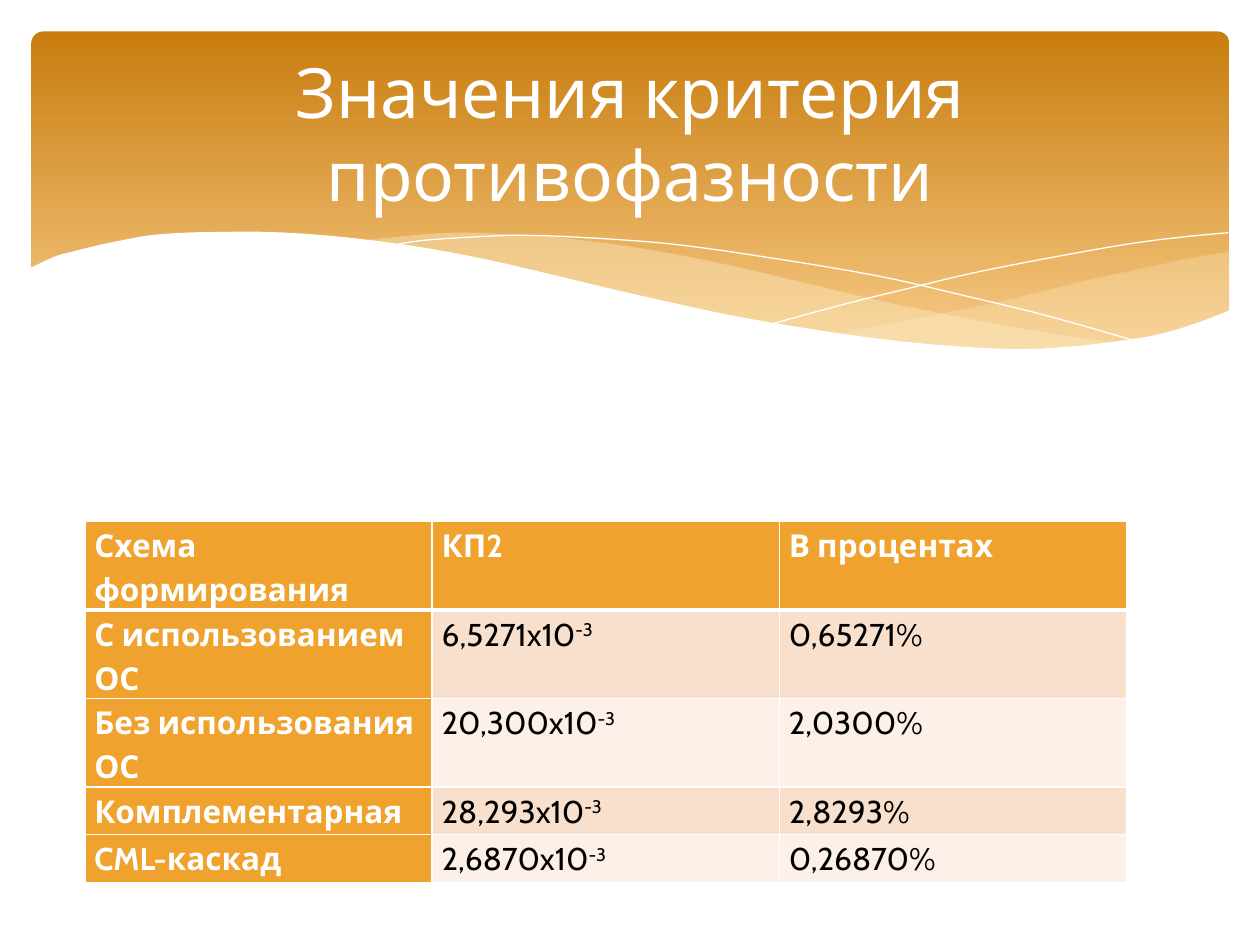
from dataclasses import dataclass

from lxml import etree
from pptx import Presentation
from pptx.dml.color import RGBColor
from pptx.enum.shapes import MSO_SHAPE
from pptx.enum.text import MSO_ANCHOR, MSO_AUTO_SIZE, PP_ALIGN
from pptx.oxml.ns import qn
from pptx.util import Pt

ROUND_RECT = MSO_SHAPE.ROUNDED_RECTANGLE
CENTER, MIDDLE, TOP = PP_ALIGN.CENTER, MSO_ANCHOR.MIDDLE, MSO_ANCHOR.TOP
NO_AUTOFIT = MSO_AUTO_SIZE.NONE


@dataclass(frozen=True)
class Theme:
    font: str = "Cabin"
    title_size: float = 39.6
    cell_size: float = 18
    white: str = "FFFFFF"
    black: str = "000000"
    band_top: str = "C87D0E"
    band_bottom: str = "F6C782"
    veil: str = "FBEEC9"
    accent: str = "F0A22E"
    stripes: tuple = ("F9E0CD", "FCF0E8")


THEME = Theme()

# Wave curves as knots in points, measured from the corner of the band
RIGHT_VEIL = [
    [(685, 126), (665, 129), (634, 135.5), (602, 142.5), (561.5, 152.5),
     (524, 160.5), (490, 167), (458, 173)],
    [(458, 173), (479.5, 175.5), (509, 179.5), (535.5, 181.5), (568, 182),
     (597, 180.5), (622, 178), (645, 173), (665, 167), (685, 160)],
]
CENTRE_VEIL = [
    [(625, 178.5), (584.5, 173), (540, 165), (490, 155), (435, 142),
     (391.5, 132), (352, 124.5), (317, 119.5), (284.5, 116.5), (242, 115),
     (207.5, 117.5), (188, 119.5)],
    [(188, 119.5), (228, 125.5), (273, 134), (305.5, 142), (363.5, 155),
     (414.5, 165.5), (461, 173.5), (502, 179.5), (538.5, 181.5), (571, 182),
     (599, 181.5), (625, 178.5)],
]
FALLING_LINE = [
    [(204.5, 122.5), (223, 119.5), (251.5, 117.5), (281.5, 116.5),
     (319.5, 118), (366, 121.5), (420, 129), (482.5, 139.5), (529, 150),
     (580.5, 162.5), (635, 178)],
]
RISING_LINE = [
    [(423.5, 167), (466, 155.5), (500.5, 147), (540.5, 137.5), (584, 129),
     (626.5, 121.5), (657.5, 117.5), (684, 115)],
]
WHITE_WAVE = [
    [(685.5, 159), (666, 166.5), (644.5, 173), (620.5, 177), (594, 180),
     (564.5, 181.5), (530, 180), (492, 176.5), (448.5, 170.5), (399, 162),
     (344, 150), (304, 140.5), (263.5, 131), (227, 124), (192, 119),
     (162, 116), (134, 114.5), (109.5, 114.5), (87, 115), (67.5, 116.5),
     (50.5, 119.5), (36.5, 122.5), (24.5, 125.5), (15, 128), (8, 131),
     (-1.5, 135.5)],
    [(-1.5, 219), (685.5, 219)],
]

ROWS = [
    ("Схема формирования", "КП2", "В процентах"),
    ("С использованием ОС", "6,5271x10", "0,65271%"),
    ("Без использования ОС", "20,300x10", "2,0300%"),
    ("Комплементарная", "28,293x10", "2,8293%"),
    ("CML-каскад", "2,6870x10", "0,26870%"),
]
EXPONENT = "-3"


def rgb(value):
    return RGBColor.from_string(value)


def smooth(knots, steps=5):
    """Pass a Catmull-Rom curve through the knots."""
    ends = [knots[0], *knots, knots[-1]]
    points = [knots[0]]
    for a, b, c, d in zip(ends, ends[1:], ends[2:], ends[3:]):
        for i in range(1, steps + 1):
            t = i / steps
            points.append(tuple(
                q + (r - p) * t / 2 + (2 * p - 5 * q + 4 * r - u) * t**2 / 2
                + (3 * q - p - 3 * r + u) * t**3 / 2
                for p, q, r, u in zip(a, b, c, d)))
    return points


def add_wave(s, box, curves, fill=None, opacity=100):
    """Draw a filled region, or a white hairline when there is no fill."""
    points = [(Pt(box[0] + x), Pt(box[1] + y))
              for curve in curves for x, y in smooth(curve)]
    builder = s.shapes.build_freeform(*points[0])
    builder.add_line_segments(points[1:], close=fill is not None)
    sp = builder.convert_to_shape()
    sp.shadow.inherit = False
    if fill is None:
        sp.fill.background()
        sp.line.color.rgb = rgb(THEME.white)
        sp.line.width = Pt(0)
        return
    sp.line.fill.background()
    sp.fill.solid()
    sp.fill.fore_color.rgb = rgb(fill)
    if opacity < 100:
        color = sp.element.spPr.find(qn("a:solidFill"))[0]
        etree.SubElement(color, qn("a:alpha"), val=str(opacity * 1000))


def add_band(s, box):
    sp = s.shapes.add_shape(ROUND_RECT, *map(Pt, box))
    sp.adjustments[0] = 0.034
    sp.shadow.inherit = False
    sp.line.fill.background()
    sp.fill.gradient()
    sp.fill.gradient_angle = 270
    stops = sp.fill.gradient_stops
    for stop, color, position in zip(
            stops, (THEME.band_top, THEME.band_bottom), (0, 0.9)):
        stop.color.rgb = rgb(color)
        stop.position = position
    # Veils and hairlines, then the white wave that cuts the band
    add_wave(s, box, RIGHT_VEIL, THEME.veil, 29)
    add_wave(s, box, CENTRE_VEIL, THEME.veil, 40)
    add_wave(s, box, FALLING_LINE)
    add_wave(s, box, RISING_LINE)
    add_wave(s, box, WHITE_WAVE, THEME.white)


def set_font(p, size, color, bold=False):
    p.font.name = THEME.font
    p.font.size = Pt(size)
    p.font.bold = bold
    p.font.color.rgb = rgb(color)


def place_title(s, box, text):
    title = s.shapes.title
    title.left, title.top, title.width, title.height = map(Pt, box)
    tf = title.text_frame
    tf.text = text
    tf.auto_size = NO_AUTOFIT
    tf.vertical_anchor = MIDDLE
    p = tf.paragraphs[0]
    p.alignment = CENTER
    set_font(p, THEME.title_size, THEME.white)
    # Bring the title in front of the band
    title.element.getparent().append(title.element)


def set_borders(cell, top, bottom):
    tc_pr = cell._tc.get_or_add_tcPr()
    widths = {"a:lnL": 1, "a:lnR": 1, "a:lnT": top, "a:lnB": bottom}
    for i, (tag, width) in enumerate(widths.items()):
        ln = etree.Element(qn(tag), w=str(Pt(width)))
        fill = etree.SubElement(ln, qn("a:solidFill"))
        etree.SubElement(fill, qn("a:srgbClr"), val=THEME.white)
        tc_pr.insert(i, ln)


def add_criteria_table(s, box):
    table = s.shapes.add_table(len(ROWS), len(ROWS[0]), *map(Pt, box)).table
    table.first_row = table.horz_banding = False
    for i, row in enumerate(ROWS):
        for j, text in enumerate(row):
            cell = table.cell(i, j)
            heading = i == 0 or j == 0
            cell.margin_left = cell.margin_right = Pt(5.4)
            cell.margin_top = cell.margin_bottom = 0
            cell.vertical_anchor = TOP
            cell.fill.solid()
            cell.fill.fore_color.rgb = rgb(
                THEME.accent if heading else THEME.stripes[(i - 1) % 2])
            set_borders(cell, 3 if i == 1 else 1, 3 if i == 0 else 1)
            p = cell.text_frame.paragraphs[0]
            p.line_spacing = 1.15
            set_font(p, THEME.cell_size,
                     THEME.white if heading else THEME.black, heading)
            p.add_run().text = text
            if i > 0 and j == 1:
                r = p.add_run()
                r.text = EXPONENT
                r._r.get_or_add_rPr().set("baseline", "30000")


def main():
    prs = Presentation()
    prs.slide_width, prs.slide_height = Pt(720), Pt(540)
    s = prs.slides.add_slide(prs.slide_layouts[5])
    add_band(s, (18, 18, 684.5, 194.5))
    add_criteria_table(s, (48.5, 298, 595.5, 136.5))
    place_title(s, (36, 26.5, 648, 98.5), "Значения критерия противофазности")
    prs.save("out.pptx")


if __name__ == "__main__":
    main()
